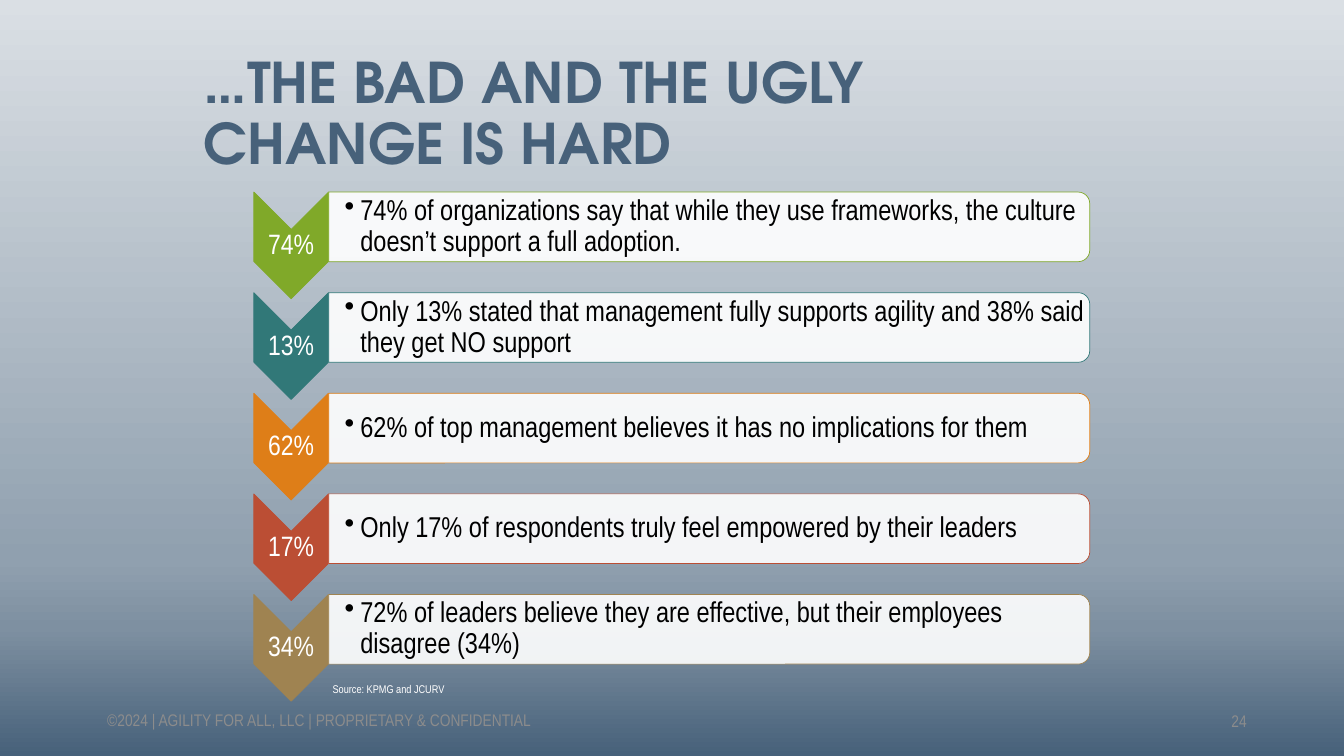
"""Build a slide of five survey findings, each a chevron with a percentage and a statement bar."""
from copy import deepcopy

from lxml.etree import SubElement
from pptx import Presentation
from pptx.dml.color import RGBColor
from pptx.enum.shapes import MSO_SHAPE as Shape
from pptx.enum.text import MSO_ANCHOR as Anchor, MSO_AUTO_SIZE as AutoSize, PP_ALIGN as Align
from pptx.oxml.ns import qn
from pptx.util import Cm, Pt

BODY_FONT = "Arial Narrow"
WHITE, GREY, SLATE = "FFFFFF", "8C8C8C", "47617A"
BACKGROUND_STOPS = [(0, "DADFE4"), (74, "90A0AF"), (83, "7E90A1"), (100, SLATE)]
FINDINGS = [
    ("74%", "80A929", "74% of organizations say that while they use frameworks, the culture doesn’t support a full adoption."),
    ("13%", "317878", "Only 13% stated that management fully supports agility and 38% said they get NO support"),
    ("62%", "DE7E18", "62% of top management believes it has no implications for them"),
    ("17%", "BB4E34", "Only 17% of respondents truly feel empowered by their leaders"),
    ("34%", "9F8351", "72% of leaders believe they are effective, but their employees disagree (34%)"),
]
ROW_TOP, ROW_PITCH = 9.68, 5.07
CHEVRON_LENGTH, CHEVRON_WIDTH, CHEVRON_CENTER = 5.38, 3.76, 14.67
BAR_LENGTH, BAR_HEIGHT, BAR_LEFT = 38.35, 3.51, 16.56

color = RGBColor.from_string


def add_text(shapes, text, left, top, width, height, size, hex_color, align=Align.LEFT, inset=0.25):
    box = shapes.add_textbox(Cm(left), Cm(top), Cm(width), Cm(height))
    frame = box.text_frame
    frame.word_wrap = True
    frame.vertical_anchor = Anchor.MIDDLE
    frame.margin_left = frame.margin_right = Cm(inset)
    frame.margin_top = frame.margin_bottom = Cm(min(inset, 0.13))
    frame.text = text
    paragraph = frame.paragraphs[0]
    paragraph.alignment = align
    paragraph.font.size = Pt(size)
    paragraph.font.name = BODY_FONT
    paragraph.font.color.rgb = color(hex_color)
    return frame


def add_turned_shape(shapes, kind, center_x, center_y, length, thickness, fill, line):
    shape = shapes.add_shape(
        kind, Cm(center_x - length / 2), Cm(center_y - thickness / 2), Cm(length), Cm(thickness))
    shape.rotation = 90
    shape.shadow.inherit = False
    shape.fill.solid()
    shape.fill.fore_color.rgb = color(fill)
    shape.line.color.rgb = color(line)
    shape.line.width = Pt(1)
    return shape


presentation = Presentation()
presentation.slide_width = Cm(67.72)
presentation.slide_height = Cm(38.1)
slide = presentation.slides.add_slide(presentation.slide_layouts[5])

background = slide.background.fill
background.gradient()
background.gradient_angle = 270
stop_list = slide.element.find(".//" + qn("a:gsLst"))
for _ in BACKGROUND_STOPS[2:]:
    stop_list.append(deepcopy(stop_list[0]))
for stop, (position, hex_color) in zip(background.gradient_stops, BACKGROUND_STOPS):
    stop.position = position / 100
    stop.color.rgb = color(hex_color)

title = slide.shapes.title
title.left, title.top, title.width, title.height = Cm(10), Cm(2.16), Cm(56.16), Cm(7.37)
title.text_frame.text = "…THE BAD AND THE UGLY\vCHANGE IS HARD"
title.text_frame.vertical_anchor = Anchor.MIDDLE
title.text_frame.auto_size = AutoSize.NONE
paragraph = title.text_frame.paragraphs[0]
paragraph.alignment = Align.LEFT
paragraph.line_spacing = 0.9
paragraph.font.size = Pt(80)
paragraph.font.bold = True
paragraph.font.name = "TeX Gyre Adventor"
paragraph.font.color.rgb = color(SLATE)

shapes = slide.shapes.add_group_shape().shapes
for row, (percentage, accent, statement) in enumerate(FINDINGS):
    top = ROW_TOP + row * ROW_PITCH
    add_turned_shape(shapes, Shape.CHEVRON, CHEVRON_CENTER, top + CHEVRON_LENGTH / 2,
                     CHEVRON_LENGTH, CHEVRON_WIDTH, accent, accent)
    label = add_text(shapes, percentage, CHEVRON_CENTER - CHEVRON_WIDTH / 2, top + 1.88,
                     CHEVRON_WIDTH, 1.62, 40, WHITE, Align.CENTER, 0.08)
    label.paragraphs[0].line_spacing = 0.9

    bar = add_turned_shape(shapes, Shape.ROUND_2_SAME_RECTANGLE, BAR_LEFT + BAR_LENGTH / 2,
                           top + BAR_HEIGHT / 2, BAR_LENGTH, BAR_HEIGHT, WHITE, accent)
    bar.rotation = 90
    bar.left, bar.width = Cm(BAR_LEFT), Cm(BAR_LENGTH)
    bar.left, bar.top = Cm(BAR_LEFT + (BAR_LENGTH - BAR_HEIGHT) / 2), Cm(top + (BAR_HEIGHT - BAR_LENGTH) / 2)
    bar.width, bar.height = Cm(BAR_HEIGHT), Cm(BAR_LENGTH)
    fill_color = bar.element.spPr.find(qn("a:solidFill"))[0]
    SubElement(fill_color, qn("a:alpha"), val="90000")

    frame = add_text(shapes, statement, BAR_LEFT, top + 0.17, 38.2, 3.15, 41, "000000", inset=0.08)
    frame.margin_left = Cm(0.81)
    paragraph = frame.paragraphs[0]
    paragraph.line_spacing = 0.9
    properties = paragraph._p.get_or_add_pPr()
    properties.set("marL", str(Cm(0.79)))
    properties.set("indent", str(-Cm(0.79)))
    bullet = SubElement(properties, qn("a:buChar"), char="•")
    properties.find(qn("a:defRPr")).addprevious(bullet)

add_text(slide.shapes, "©2024 | AGILITY FOR ALL, LLC | PROPRIETARY & CONFIDENTIAL",
         4.65, 35.28, 22.86, 2.03, 24, GREY, Align.CENTER)
add_text(slide.shapes, "24", 47.83, 35.31, 15.24, 2.03, 24, GREY, Align.RIGHT)
source = add_text(slide.shapes, "Source: KPMG and JCURV", 16.51, 34.24, 6.22, 0.94, 16, WHITE)
source.word_wrap = False
source.auto_size = AutoSize.SHAPE_TO_FIT_TEXT

presentation.save("out.pptx")
